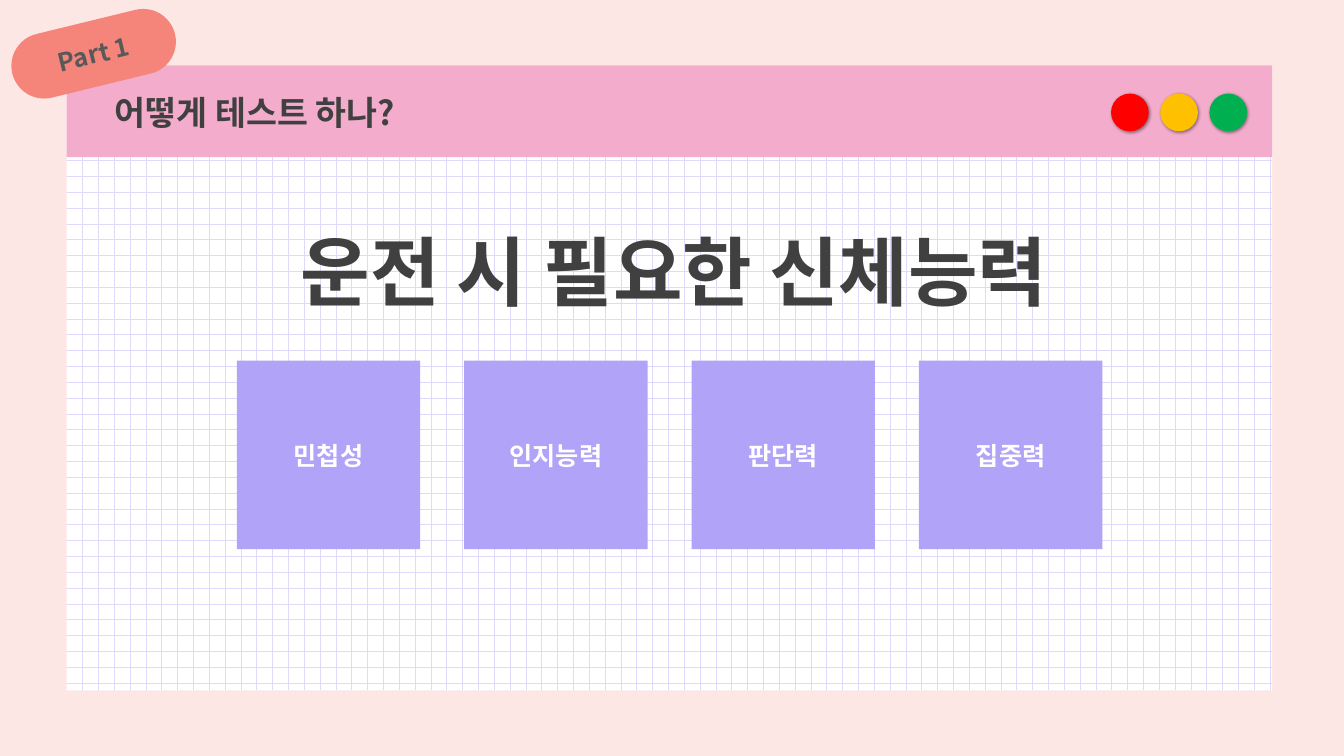
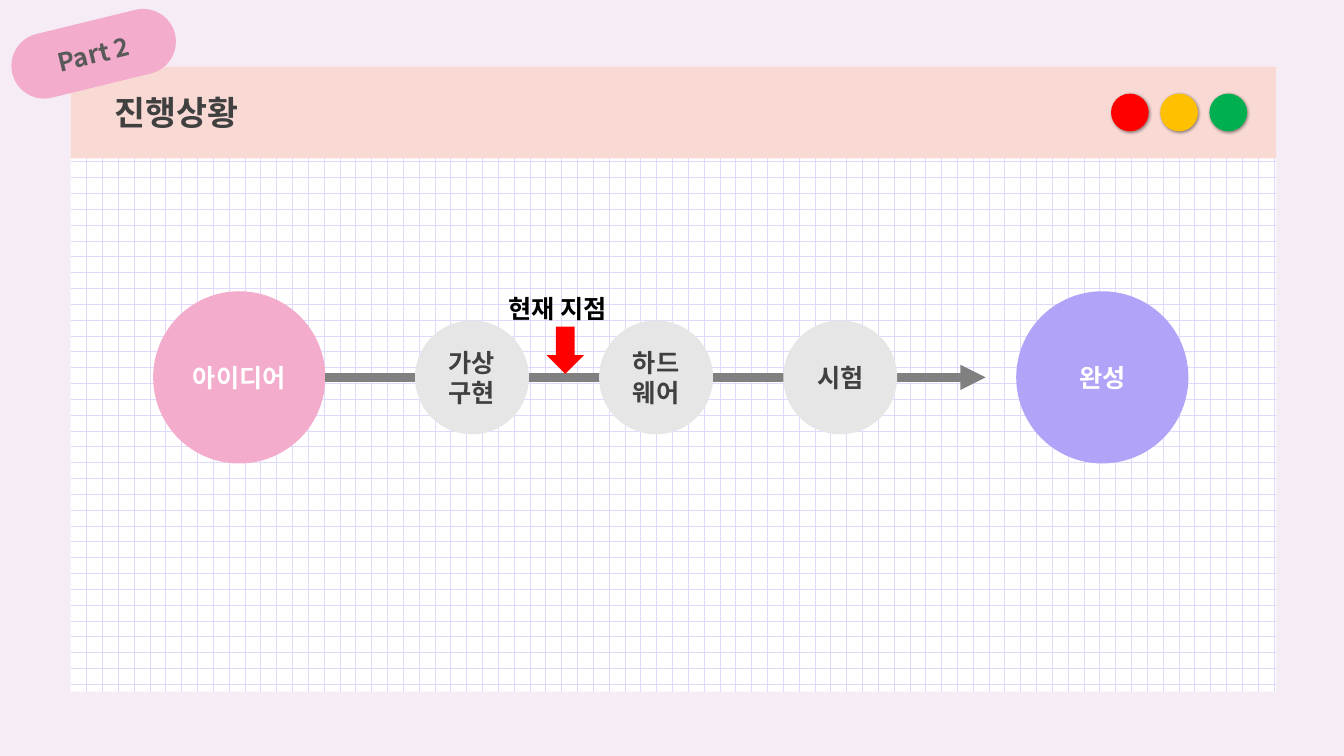
from dataclasses import dataclass
from typing import NamedTuple

from lxml.etree import SubElement
from pptx import Presentation
from pptx.dml.color import RGBColor
from pptx.enum.dml import MSO_PATTERN
from pptx.enum.shapes import MSO_CONNECTOR, MSO_SHAPE
from pptx.enum.text import MSO_ANCHOR, MSO_AUTO_SIZE, PP_ALIGN
from pptx.oxml.ns import qn
from pptx.util import Cm, Pt


@dataclass(frozen=True)
class Theme:
    font: str = "Noto Sans CJK KR"
    headline_size: int = 54
    title_size: int = 24
    body_size: int = 18
    ink: str = "404040"
    soft_ink: str = "595959"
    black: str = "000000"
    white: str = "FFFFFF"
    grid: str = "DFDAFC"
    blush: str = "FDE7E5"
    lilac: str = "F5ECF6"
    pink: str = "F3ACCC"
    peach: str = "F8D9D4"
    coral: str = "F5857B"
    violet: str = "B0A3F8"
    pale_gray: str = "E7E6E6"
    track: str = "808080"
    red: str = "FF0000"
    amber: str = "FFC000"
    green: str = "00B050"


class Box(NamedTuple):
    left: float
    top: float
    width: float
    height: float

    def inner(self, left, top, width, height):
        return Box(self.left + left, self.top + top, width, height)

    def lengths(self):
        return [Cm(value) for value in self]


THEME = Theme()
SLIDE = Box(0, 0, 33.87, 19.05)
TITLE = Box(2.64, 2.18, 8.36, 1.27)
LIGHTS = Box(28, 2.36, 3.43, 0.95)
TAG = Box(0.25, 0.53, 4.22, 1.65)
BAND_HEIGHT = 2.31


def apply_format(target, values):
    for name, value in values.items():
        setattr(target, name, value)


def write_text(shape, text, size, color, align=PP_ALIGN.CENTER,
               anchor=MSO_ANCHOR.MIDDLE, auto_size=MSO_AUTO_SIZE.NONE):
    frame = shape.text_frame
    frame.text = text
    apply_format(frame, {"word_wrap": True, "vertical_anchor": anchor,
                         "auto_size": auto_size})
    for para in frame.paragraphs:
        para.alignment = align
        for span in para.runs:
            apply_format(span.font, {"name": THEME.font, "size": Pt(size),
                                     "bold": True})
            span.font.color.rgb = RGBColor.from_string(color)
            east_asian = SubElement(span.font._element, qn("a:ea"))
            east_asian.set("typeface", THEME.font)


def add_block(page, kind, box, color, text="", text_color=THEME.white):
    shape = page.shapes.add_shape(kind, *box.lengths())
    shape.shadow.inherit = False
    shape.fill.solid()
    shape.fill.fore_color.rgb = RGBColor.from_string(color)
    shape.line.fill.background()
    if text:
        write_text(shape, text, THEME.body_size, text_color)
    return shape


def add_label(page, box, text, size, color, align):
    label = page.shapes.add_textbox(*box.lengths())
    write_text(label, text, size, color, align, MSO_ANCHOR.TOP,
               MSO_AUTO_SIZE.SHAPE_TO_FIT_TEXT)


def add_soft_shadow(shape):
    effects = shape.element.spPr.find(qn("a:effectLst"))
    shadow = SubElement(effects, qn("a:outerShdw"), blurRad=str(Pt(2)),
                        dist=str(Pt(1)), dir="2700000", algn="tl",
                        rotWithShape="0")
    color = SubElement(shadow, qn("a:srgbClr"), val=THEME.black)
    SubElement(color, qn("a:alpha"), val="40000")


def draw_window(page, box, band_color):
    sheet = add_block(page, MSO_SHAPE.RECTANGLE, box, THEME.white)
    sheet.fill.patterned()
    sheet.fill.pattern = MSO_PATTERN.DOTTED_GRID
    sheet.fill.fore_color.rgb = RGBColor.from_string(THEME.grid)
    sheet.fill.back_color.rgb = RGBColor.from_string(THEME.white)
    band = box.inner(0, 0, box.width, BAND_HEIGHT)
    add_block(page, MSO_SHAPE.RECTANGLE, band, band_color)


def draw_lights(page, box):
    colors = (THEME.red, THEME.amber, THEME.green)
    step = (box.width - box.height) / (len(colors) - 1)
    for index, color in enumerate(colors):
        spot = box.inner(index * step, 0, box.height, box.height)
        add_soft_shadow(add_block(page, MSO_SHAPE.OVAL, spot, color))


def draw_tag(page, box, text, color):
    tag = add_block(page, MSO_SHAPE.ROUNDED_RECTANGLE, box, color, text,
                    THEME.soft_ink)
    tag.adjustments[0] = 0.5
    tag.rotation = 346.3


def place_title(page, box, text):
    title = page.shapes.title
    title.element.getparent().append(title.element)
    names = ("left", "top", "width", "height")
    apply_format(title, dict(zip(names, box.lengths())))
    write_text(title, text, THEME.title_size, THEME.ink, PP_ALIGN.LEFT,
               MSO_ANCHOR.TOP, MSO_AUTO_SIZE.SHAPE_TO_FIT_TEXT)


def add_page(deck, title, tag, window, background, band_color, tag_color):
    page = deck.slides.add_slide(deck.slide_layouts[5])
    page.background.fill.solid()
    page.background.fill.fore_color.rgb = RGBColor.from_string(background)
    draw_window(page, window, band_color)
    place_title(page, TITLE, title)
    draw_lights(page, LIGHTS)
    draw_tag(page, TAG, tag, tag_color)
    return page


def draw_cards(page, box, texts, width):
    step = (box.width - width) / (len(texts) - 1)
    for index, text in enumerate(texts):
        card = box.inner(index * step, 0, width, box.height)
        add_block(page, MSO_SHAPE.RECTANGLE, card, THEME.violet, text)


def draw_track(page, box):
    middle = Cm(box.top + box.height / 2)
    track = page.shapes.add_connector(
        MSO_CONNECTOR.STRAIGHT, Cm(box.left), middle,
        Cm(box.left + box.width), middle)
    track.line.width = Pt(6)
    track.line.color.rgb = RGBColor.from_string(THEME.track)
    properties = track.element.spPr
    SubElement(properties.find(qn("a:ln")), qn("a:tailEnd"), type="triangle")
    SubElement(properties, qn("a:effectLst"))


def draw_marker(page, box, text):
    add_label(page, box.inner(0, 0, box.width, 1.02), text, THEME.body_size,
              THEME.black, PP_ALIGN.LEFT)
    arrow = box.inner((box.width - 0.94) / 2, 0.97, 0.94, 1.19)
    add_block(page, MSO_SHAPE.DOWN_ARROW, arrow, THEME.red)


def draw_timeline(page, box, start, steps, finish):
    size, step_size = box.height, 2.87
    ends = ((0, start, THEME.pink), (box.width - size, finish, THEME.violet))
    for left, text, color in ends:
        add_block(page, MSO_SHAPE.OVAL, box.inner(left, 0, size, size),
                  color, text)
    draw_track(page, box.inner(size, 0, 16.64, size))
    for index, text in enumerate(steps):
        spot = box.inner(6.6 + index * 4.64, (size - step_size) / 2,
                         step_size, step_size)
        add_block(page, MSO_SHAPE.OVAL, spot, THEME.pale_gray, text, THEME.ink)
    draw_marker(page, box.inner(8.71, -0.08, 3.35, 2.16), "현재 지점")


def build_abilities(deck):
    page = add_page(deck, "어떻게 테스트 하나?", "Part 1",
                    Box(1.68, 1.65, 30.38, 15.75),
                    THEME.blush, THEME.pink, THEME.coral)
    add_label(page, Box(6.1, 5.54, 21.77, 2.57), "운전 시 필요한 신체능력",
              THEME.headline_size, THEME.ink, PP_ALIGN.CENTER)
    draw_cards(page, Box(5.97, 9.09, 21.81, 4.75),
               ("민첩성", "인지능력", "판단력", "집중력"), 4.62)


def build_progress(deck):
    page = add_page(deck, "진행상황", "Part 2",
                    Box(1.78, 1.68, 30.38, 15.75),
                    THEME.lilac, THEME.peach, THEME.pink)
    draw_timeline(page, Box(3.86, 7.34, 26.09, 4.34), "아이디어",
                  ("가상\n구현", "하드웨어", "시험"), "완성")


def main():
    deck = Presentation()
    apply_format(deck, {"slide_width": Cm(SLIDE.width),
                        "slide_height": Cm(SLIDE.height)})
    build_abilities(deck)
    build_progress(deck)
    deck.save("out.pptx")


if __name__ == "__main__":
    main()
